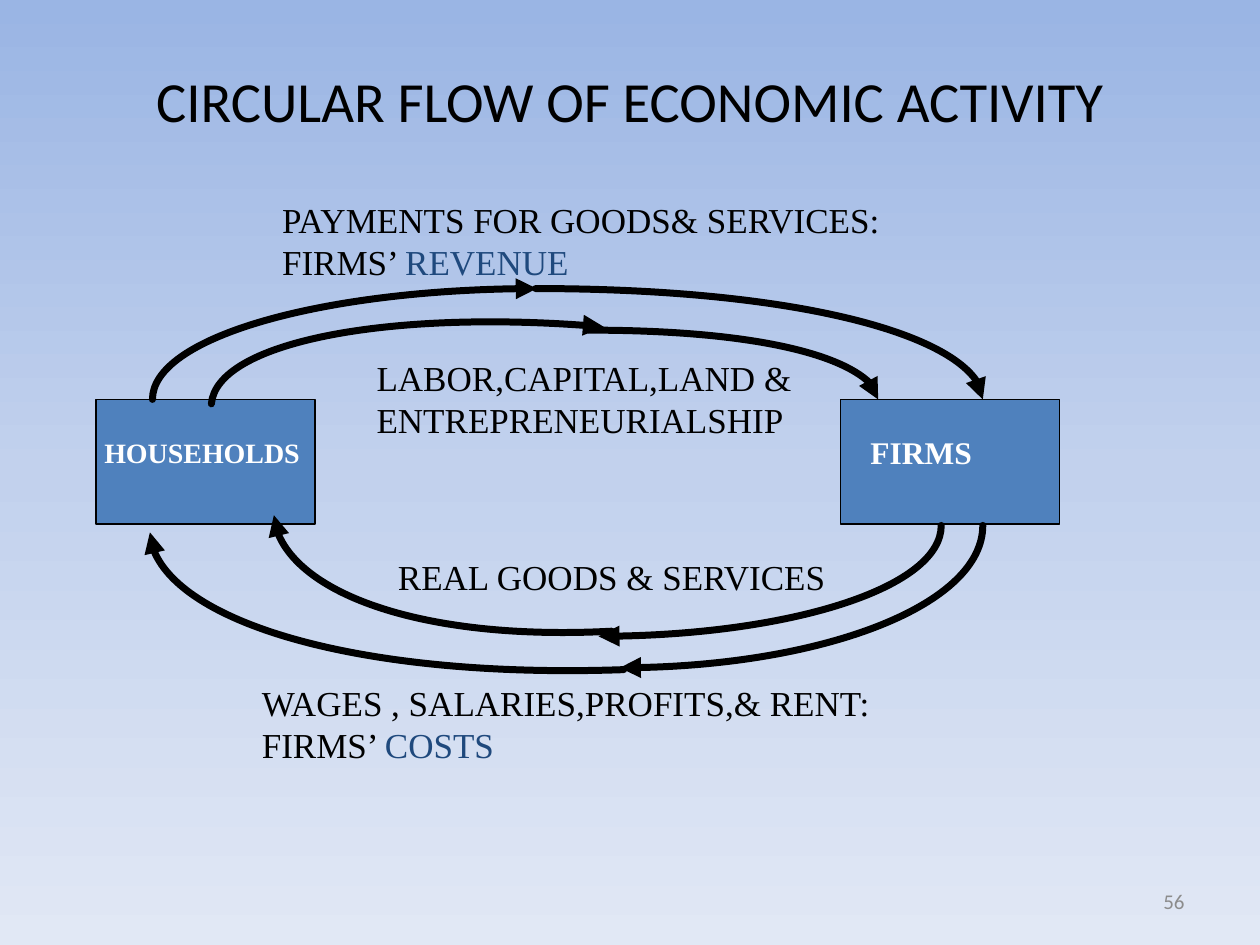
from copy import deepcopy

from lxml import etree
from pptx import Presentation
from pptx.dml.color import RGBColor
from pptx.enum.shapes import MSO_SHAPE
from pptx.enum.text import MSO_ANCHOR, PP_ALIGN
from pptx.oxml.ns import qn
from pptx.util import Inches, Pt

RECTANGLE = MSO_SHAPE.RECTANGLE
TOP, MIDDLE = MSO_ANCHOR.TOP, MSO_ANCHOR.MIDDLE
LEFT, CENTER, RIGHT = PP_ALIGN.LEFT, PP_ALIGN.CENTER, PP_ALIGN.RIGHT
SANS, SERIF = "Calibri", "Times New Roman"
COLORS = {
    "sky": "9AB5E4", "haze": "C2D1ED", "mist": "E1E8F5",
    "black": "000000", "white": "FFFFFF", "gray": "8C8C8C",
    "box": "4F81BD", "accent": "1F497D",
}
CURVE = 0.55


def color(name):
    return RGBColor.from_string(COLORS[name])


class FlowSlide:
    def __init__(self, deck):
        self.page = deck.slides.add_slide(deck.slide_layouts[6])

    def background(self, first, middle, last):
        fill = self.page.background.fill
        fill.gradient()
        fill.gradient_angle = 270
        stop_list = next(self.page.element.iter(qn("a:gsLst")))
        stop_list.insert(1, deepcopy(stop_list[0]))
        for stop, name, position in zip(fill.gradient_stops, (first, middle, last), (0, 0.5, 1)):
            stop.color.rgb = color(name)
            stop.position = position

    def text(self, place, lines, size, font=SERIF, ink="black", bold=False,
             align=LEFT, anchor=TOP, wrap=False):
        box = self.page.shapes.add_textbox(*map(Inches, place))
        frame = box.text_frame
        frame.word_wrap = wrap
        frame.vertical_anchor = anchor
        for index, spans in enumerate(lines):
            para = frame.add_paragraph() if index else frame.paragraphs[0]
            para.alignment = align
            for words, name in spans:
                span = para.add_run()
                span.text = words
                span.font.name = font
                span.font.size = Pt(size)
                span.font.bold = bold
                span.font.color.rgb = color(name or ink)

    def sector(self, left):
        box = self.page.shapes.add_shape(
            RECTANGLE, Inches(left), Inches(3.17), Inches(1.74), Inches(0.99))
        box.shadow.inherit = False
        box.fill.solid()
        box.fill.fore_color.rgb = color("box")
        box.line.color.rgb = color("black")
        box.line.width = Pt(1)

    def arc(self, start, end, upright, rotation=0):
        (x1, y1), (x2, y2) = start, end
        dx, dy = (x2 - x1) * CURVE, (y2 - y1) * CURVE
        if upright:
            controls = [(x1, y1 + dy), (x2 - dx, y2)]
        else:
            controls = [(x1 + dx, y1), (x2, y2 - dy)]
        builder = self.page.shapes.build_freeform(Inches(x1), Inches(y1))
        points = [(Inches(x), Inches(y)) for x, y in controls + [end]]
        builder.add_line_segments(points, close=False)
        arrow = builder.convert_to_shape()
        arrow.rotation = rotation
        arrow.shadow.inherit = False
        arrow.fill.background()
        arrow.line.color.rgb = color("black")
        arrow.line.width = Pt(4)

        outline = next(arrow.element.iter(qn("a:path")))
        bezier = etree.SubElement(outline, qn("a:cubicBezTo"))
        for segment in outline.findall(qn("a:lnTo")):
            bezier.append(segment[0])
            outline.remove(segment)
        line = next(arrow.element.iter(qn("a:ln")))
        line.set("cap", "rnd")
        etree.SubElement(line, qn("a:round"))
        etree.SubElement(line, qn("a:tailEnd"), type="triangle")


deck = Presentation()
deck.slide_width, deck.slide_height = Inches(10), Inches(7.5)
slide = FlowSlide(deck)
slide.background("sky", "haze", "mist")
slide.text((0.75, 0.17, 8.5, 1.25), [[("CIRCULAR FLOW OF ECONOMIC ACTIVITY", None)]],
           32.4, SANS, align=CENTER, anchor=MIDDLE, wrap=True)

for left, label_place, label, size in (
    (0.76, (0.73, 3.41, 1.77, 0.37), "HOUSEHOLDS", 16),
    (6.67, (6.81, 3.39, 1.01, 0.4), "FIRMS", 18),
):
    slide.sector(left)
    slide.text(label_place, [[(label, None)]], size, ink="white", bold=True)

for start, end, upright, rotation in (
    ((1.21, 3.17), (4.26, 2.29), True, 0),
    ((4.25, 2.29), (7.8, 3.17), False, 0),
    ((7.8, 4.17), (4.92, 5.3), True, 0),
    ((4.93, 5.38), (1.21, 4.16), False, 358),
    ((1.71, 3.34), (4.76, 2.46), True, 5),
    ((4.67, 2.62), (6.97, 3.17), False, 0),
    ((4.83, 5.08), (2.2, 4.02), False, 357),
    ((7.47, 4.17), (4.75, 5.05), True, 0),
):
    slide.arc(start, end, upright, rotation)

for place, lines in (
    ((2.14, 1.53, 5.01, 0.76), [[("PAYMENTS FOR GOODS& SERVICES:", None)],
                                [("FIRMS’ ", None), ("REVENUE", "accent")]]),
    ((1.98, 5.36, 5.07, 0.76), [[("WAGES , SALARIES,PROFITS,& RENT:", None)],
                                [("FIRMS’ ", None), ("COSTS", "accent")]]),
    ((2.89, 2.78, 3.52, 0.76), [[("LABOR,CAPITAL,LAND &", None)],
                                [("ENTREPRENEURIALSHIP", None)]]),
    ((3.06, 4.36, 3.62, 0.43), [[("REAL GOODS & SERVICES", None)]]),
):
    slide.text(place, lines, 20)

slide.text((7.17, 6.95, 2.33, 0.4), [[("56", None)]], 12, SANS, "gray",
           align=RIGHT, anchor=MIDDLE, wrap=True)
deck.save("out.pptx")
